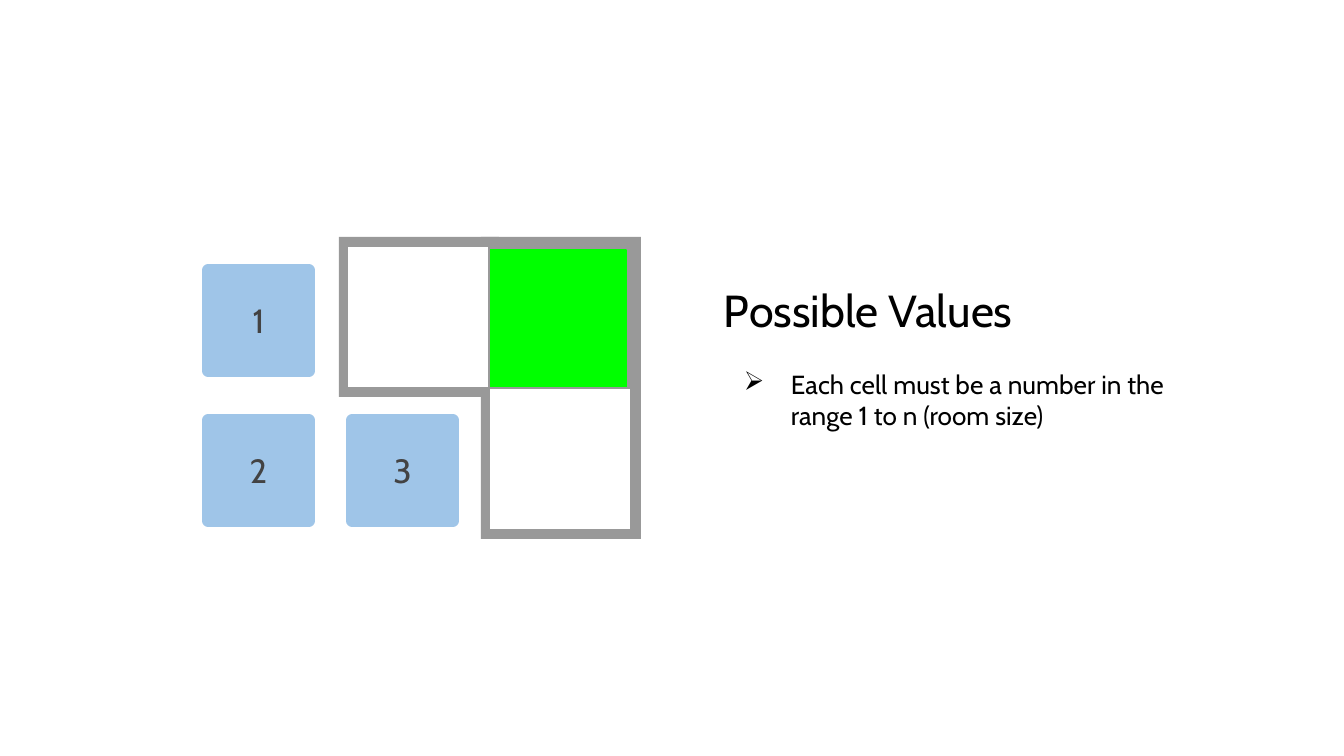
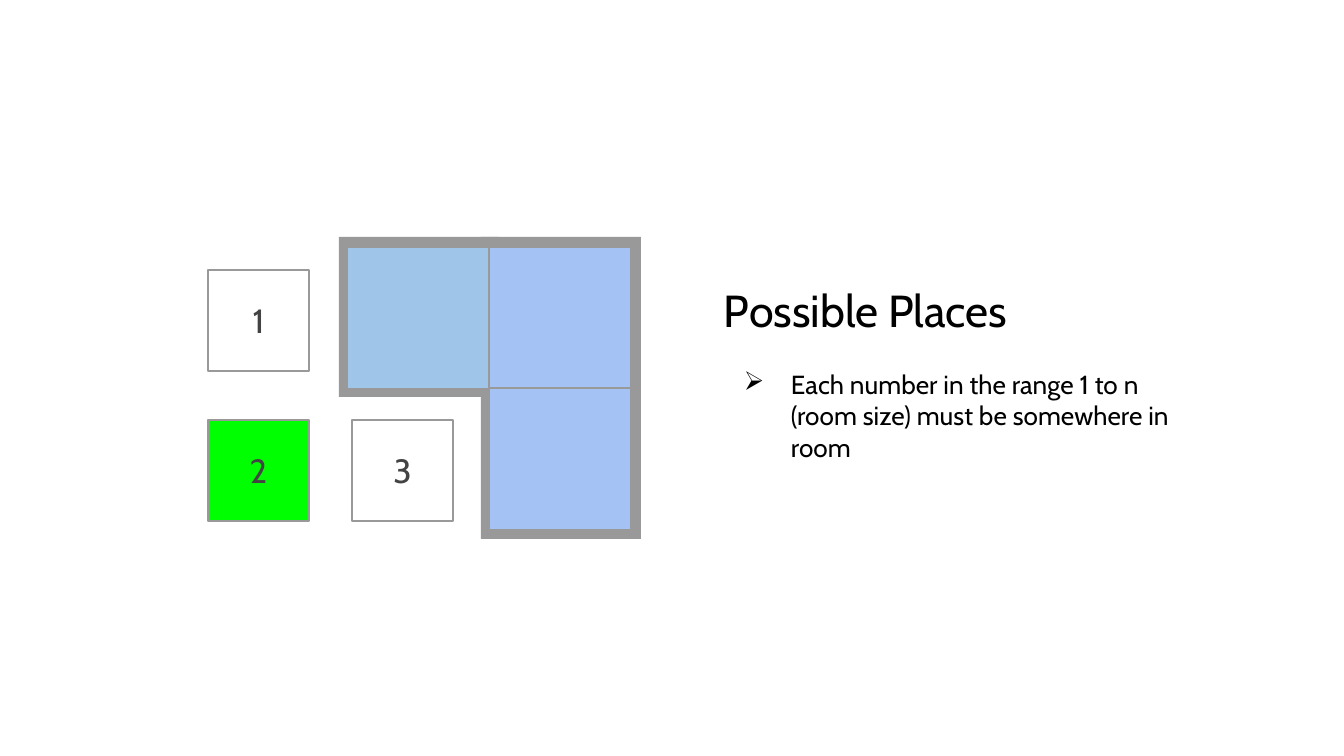
from dataclasses import dataclass

from lxml.etree import SubElement
from pptx import Presentation
from pptx.dml.color import RGBColor
from pptx.enum.shapes import MSO_SHAPE
from pptx.enum.text import MSO_ANCHOR, PP_ALIGN
from pptx.oxml.ns import qn
from pptx.util import Pt


@dataclass(frozen=True)
class Theme:
    font: str = "Cabin"
    title_size: int = 24
    body_size: int = 14
    number_size: int = 18
    thin: float = 1.5
    thick: float = 6
    ink: str = "000000"
    number: str = "434343"
    grey: str = "999999"
    white: str = "FFFFFF"
    blue: str = "9FC5E8"
    periwinkle: str = "A4C2F4"
    green: str = "00FF00"


THEME = Theme()
INCH = 134.4
EMU_PER_PX = 914400 / INCH
SLIDE_W, SLIDE_H = 1344, 756
INSET = 13

# Positions in the two-by-two grids are (column, row).
CORNER, BOTTOM, LEFT = (1, 0), (1, 1), (0, 0)
ROOM = [CORNER, BOTTOM, LEFT]
ROOM_PITCH = 142
WALL_ORIGIN, WALL_SIZE = (339, 237), 160
CELL_ORIGIN, CELL_SIZE = (347, 246), (142, 142)

TILES = {"1": (0, 0), "2": (0, 1), "3": (1, 1)}
TILE_ORIGIN, TILE_PITCH, TILE_SIZE = (208, 270), (144, 150), 101

TEXT_BOX = (711, 270, 485, 198)
BULLET_LEFT, BULLET_HANG = 67, 47

# A cell is (place, offset, size, fill, line); tiles map a number to its fill.
SLIDES = [
    {
        "title": "Possible Values",
        "rule": "Each cell must be a number in the range 1 to n (room size)",
        "cells": [
            (CORNER, (0, 4), (137, 138), THEME.green, THEME.green),
            (LEFT, (0, 0), CELL_SIZE, THEME.white, THEME.grey),
            (BOTTOM, (0, 0), CELL_SIZE, THEME.white, THEME.grey),
        ],
        "tiles": {"1": THEME.blue, "2": THEME.blue, "3": THEME.blue},
        "tile_line": (THEME.blue, THEME.thick),
    },
    {
        "title": "Possible Places",
        "rule": "Each number in the range 1 to n (room size) must be somewhere in room",
        "cells": [
            (CORNER, (0, 1), CELL_SIZE, THEME.periwinkle, THEME.grey),
            (LEFT, (0, 1), CELL_SIZE, THEME.blue, THEME.grey),
            (BOTTOM, (0, 0), CELL_SIZE, THEME.periwinkle, THEME.grey),
        ],
        "tiles": {"1": None, "2": THEME.green, "3": None},
        "tile_line": (THEME.grey, THEME.thin),
    },
]


def px(n):
    return round(n * EMU_PER_PX)


def grid_point(origin, pitch, place):
    return [o + p * i for o, p, i in zip(origin, pitch, place)]


def style_runs(p, size, color):
    for r in p.runs:
        r.font.name = THEME.font
        r.font.size = Pt(size)
        r.font.color.rgb = RGBColor.from_string(color)


def set_insets(tf):
    tf.word_wrap = True
    tf.margin_left = tf.margin_top = tf.margin_right = tf.margin_bottom = px(INSET)


def add_square(slide, left, top, width, height, fill=None, line=None, weight=THEME.thin):
    sp = slide.shapes.add_shape(
        MSO_SHAPE.ROUNDED_RECTANGLE, px(left), px(top), px(width), px(height)
    )
    sp.adjustments[0] = 0
    sp.shadow.inherit = False
    if fill:
        sp.fill.solid()
        sp.fill.fore_color.rgb = RGBColor.from_string(fill)
    else:
        sp.fill.background()
    if line:
        sp.line.color.rgb = RGBColor.from_string(line)
        sp.line.width = Pt(weight)
    else:
        sp.line.fill.background()
    return sp


def add_room(slide, cells):
    pitch = (ROOM_PITCH, ROOM_PITCH)
    for place in ROOM:
        left, top = grid_point(WALL_ORIGIN, pitch, place)
        add_square(slide, left, top, WALL_SIZE, WALL_SIZE, THEME.grey)
    for place, (dx, dy), (width, height), fill, line in cells:
        left, top = grid_point(CELL_ORIGIN, pitch, place)
        add_square(slide, left + dx, top + dy, width, height, fill, line)


def add_tiles(slide, fills, line):
    for number, place in TILES.items():
        left, top = grid_point(TILE_ORIGIN, TILE_PITCH, place)
        sp = add_square(slide, left, top, TILE_SIZE, TILE_SIZE, fills[number], *line)
        tf = sp.text_frame
        set_insets(tf)
        tf.vertical_anchor = MSO_ANCHOR.MIDDLE
        p = tf.paragraphs[0]
        p.text = number
        p.alignment = PP_ALIGN.CENTER
        style_runs(p, THEME.number_size, THEME.number)


def add_bullet(p):
    pPr = p._p.get_or_add_pPr()
    pPr.set("marL", str(px(BULLET_LEFT)))
    pPr.set("indent", str(-px(BULLET_HANG)))
    color = SubElement(pPr, qn("a:buClr"))
    SubElement(color, qn("a:srgbClr")).set("val", THEME.ink)
    SubElement(pPr, qn("a:buChar")).set("char", "➢")


def add_explanation(slide, title, rule):
    tf = slide.shapes.add_textbox(*map(px, TEXT_BOX)).text_frame
    set_insets(tf)
    p = tf.paragraphs[0]
    p.text = title
    style_runs(p, THEME.title_size, THEME.ink)
    p = tf.add_paragraph()
    p.text = rule
    p.space_before = Pt(17)
    add_bullet(p)
    style_runs(p, THEME.body_size, THEME.ink)


def main():
    prs = Presentation()
    prs.slide_width, prs.slide_height = px(SLIDE_W), px(SLIDE_H)
    for content in SLIDES:
        slide = prs.slides.add_slide(prs.slide_layouts[6])
        add_room(slide, content["cells"])
        add_explanation(slide, content["title"], content["rule"])
        add_tiles(slide, content["tiles"], content["tile_line"])
    prs.save("out.pptx")


if __name__ == "__main__":
    main()
